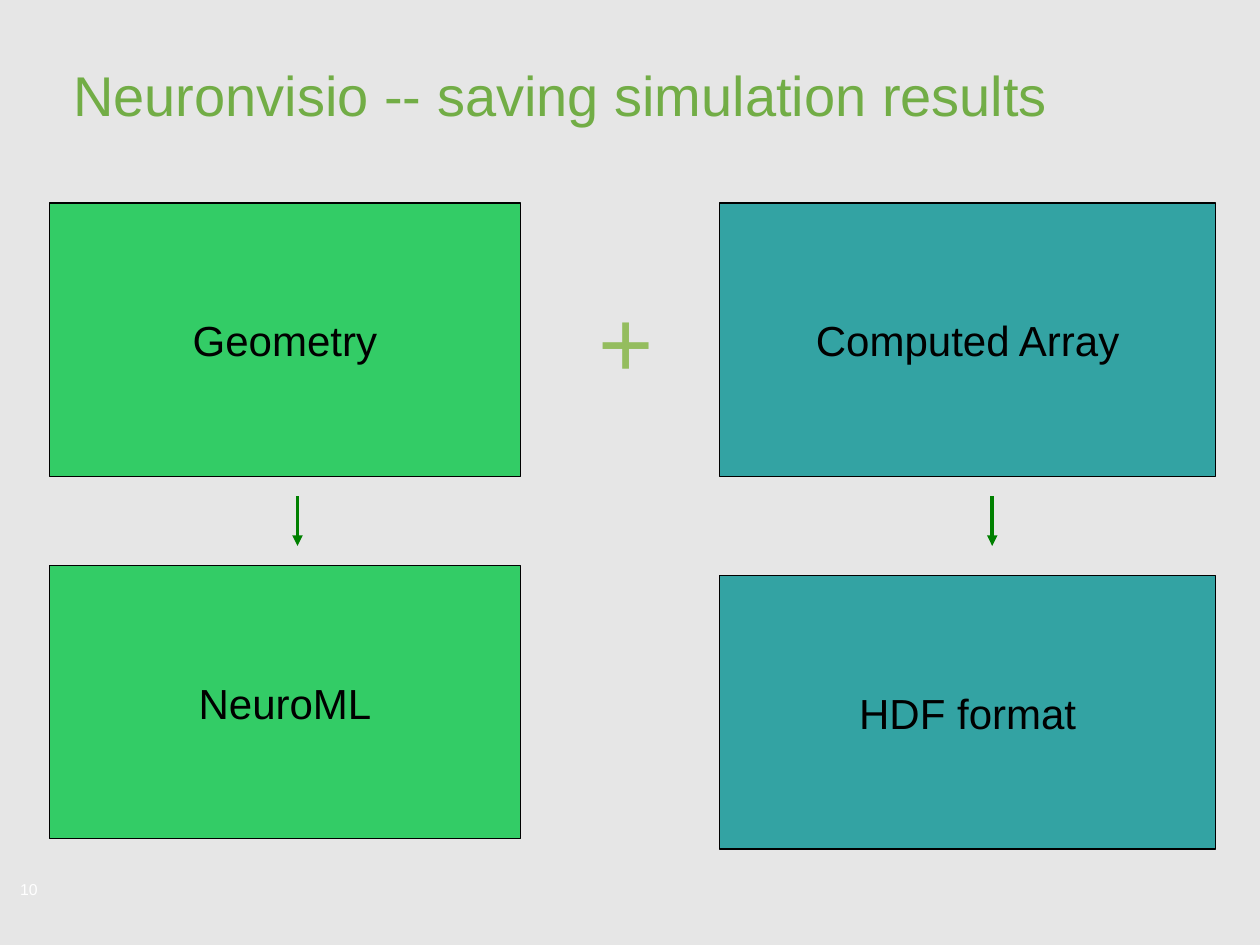
from lxml import etree
from pptx import Presentation
from pptx.dml.color import RGBColor
from pptx.enum.shapes import MSO_CONNECTOR, MSO_SHAPE
from pptx.enum.text import MSO_ANCHOR, PP_ALIGN
from pptx.oxml.ns import qn
from pptx.util import Pt

RECTANGLE = MSO_SHAPE.RECTANGLE
STRAIGHT = MSO_CONNECTOR.STRAIGHT
TOP, MIDDLE = MSO_ANCHOR.TOP, MSO_ANCHOR.MIDDLE
LEFT, CENTER = PP_ALIGN.LEFT, PP_ALIGN.CENTER

FONT = "Arial"
COLORS = {
    "background": "E6E6E6",
    "title": "72AD46",
    "geometry": "33CC66",
    "array": "33A3A3",
    "plus": "94BD5E",
    "arrow": "008000",
    "black": "000000",
    "white": "FFFFFF",
}
BOX_TOP = 116
BOX_HEIGHT = 156.2
ARROW_TOP, ARROW_BOTTOM = 283.5, 312
COLUMNS = [
    ("geometry", 28.2, 269.2, 323.2, 170, ("Geometry", "NeuroML")),
    ("array", 411.1, 283.7, 329, 567, ("Computed Array", "HDF format")),
]


def color(name):
    return RGBColor.from_string(COLORS[name])


def write_text(shape, text, size, color_name, alignment, anchor):
    frame = shape.text_frame
    frame.word_wrap = True
    frame.vertical_anchor = anchor
    frame.text = text
    paragraph = frame.paragraphs[0]
    paragraph.alignment = alignment
    font = paragraph.runs[0].font
    font.name = FONT
    font.size = Pt(size)
    font.color.rgb = color(color_name)


def add_text(slide, bounds, text, size, color_name, anchor=TOP, inset=None):
    shape = slide.shapes.add_textbox(*map(Pt, bounds))
    write_text(shape, text, size, color_name, LEFT, anchor)
    if inset is not None:
        frame = shape.text_frame
        frame.margin_left = frame.margin_right = Pt(inset)
        frame.margin_top = frame.margin_bottom = Pt(inset)


def add_box(slide, bounds, text, fill_name):
    shape = slide.shapes.add_shape(RECTANGLE, *map(Pt, bounds))
    shape.shadow.inherit = False
    shape.fill.solid()
    shape.fill.fore_color.rgb = color(fill_name)
    shape.line.color.rgb = color("black")
    shape.line.width = Pt(0)
    write_text(shape, text, 24, "black", CENTER, MIDDLE)


def add_down_arrow(slide, x):
    arrow = slide.shapes.add_connector(
        STRAIGHT, Pt(x), Pt(ARROW_TOP), Pt(x), Pt(ARROW_BOTTOM))
    arrow.line.color.rgb = color("arrow")
    arrow.line.width = Pt(0)
    line = arrow.line._get_or_add_ln()
    etree.SubElement(line, qn("a:tailEnd"), type="triangle")
    etree.SubElement(arrow._element.spPr, qn("a:effectLst"))


def main():
    presentation = Presentation()
    presentation.slide_width = Pt(720)
    presentation.slide_height = Pt(540)
    slide = presentation.slides.add_slide(presentation.slide_layouts[6])
    slide.background.fill.solid()
    slide.background.fill.fore_color.rgb = color("background")

    add_text(slide, (41.8, 24, 642, 60), "Neuronvisio -- saving simulation results",
             32, "title", MIDDLE, 0)
    for fill_name, left, width, lower_top, arrow_x, labels in COLUMNS:
        for top, label in zip((BOX_TOP, lower_top), labels):
            add_box(slide, (left, top, width, BOX_HEIGHT), label, fill_name)
        add_down_arrow(slide, arrow_x)
    add_text(slide, (334.8, 158.4, 42.5, 72), "+", 54, "plus")
    add_text(slide, (11.5, 498, 40, 20), "10", 9, "white", MIDDLE, 0)

    presentation.save("out.pptx")


if __name__ == "__main__":
    main()
